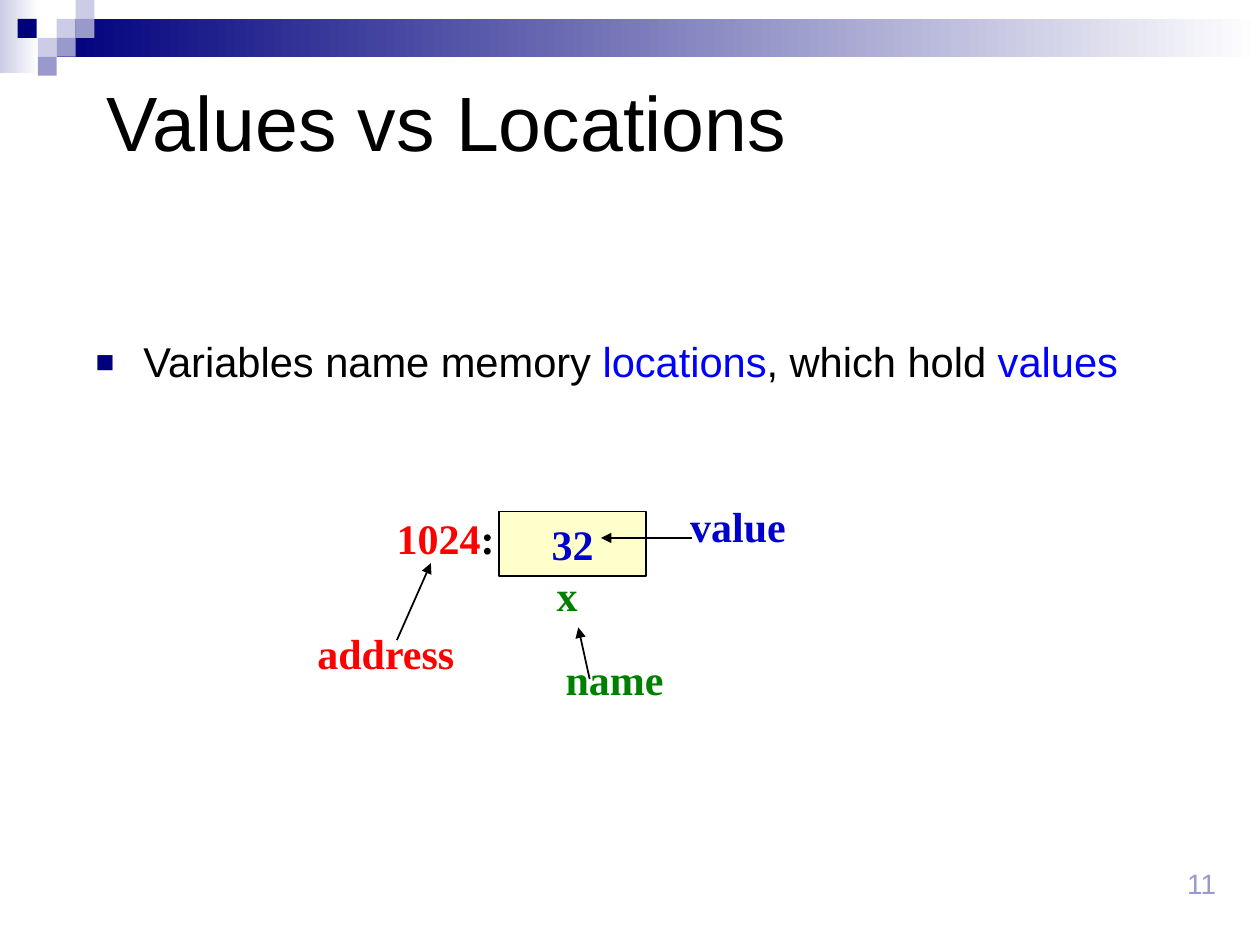
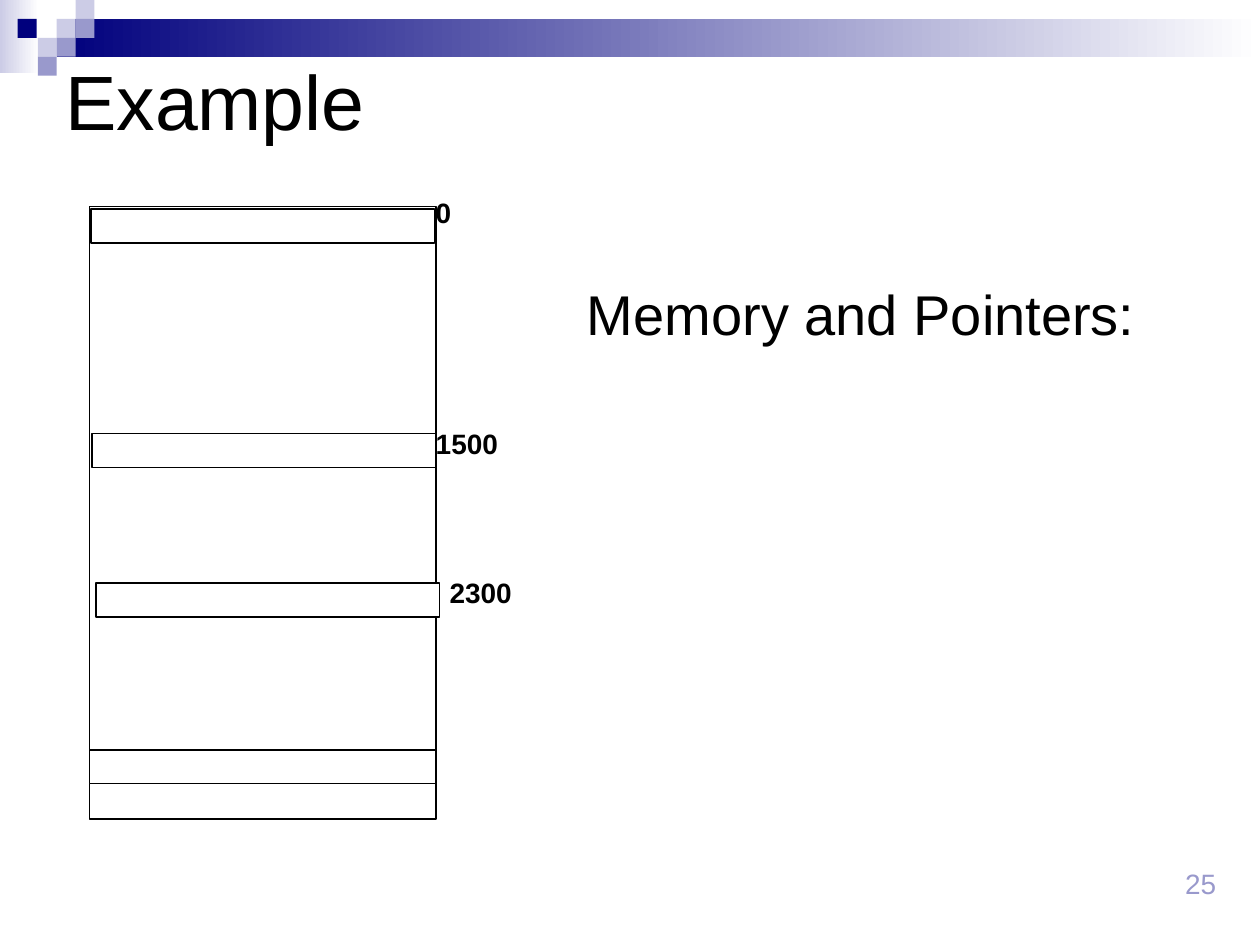
from dataclasses import dataclass
from typing import NamedTuple

from lxml import etree
from pptx import Presentation
from pptx import util as u
from pptx.dml import color as dml
from pptx.enum import shapes, text
from pptx.oxml import ns
from pptx.slide import Slide


@dataclass(frozen=True)
class Theme:
    navy: str = "00007D"
    periwinkle: str = "9999CC"
    lavender: str = "CCCCE6"
    white: str = "FFFFFF"
    black: str = "000000"
    cell: str = "FFFFCC"
    keyword: str = "0000FF"
    value: str = "0000CC"
    address: str = "FF0000"
    name: str = "008000"
    sans: str = "Arial"
    serif: str = "Times New Roman"
    title_size: float = 44
    heading_size: float = 32
    label_size: float = 24
    bullet_size: float = 23.8
    small_size: float = 16
    line_width: float = 1


THEME = Theme()


class Area(NamedTuple):
    left: float
    top: float
    width: float
    height: float


class Span(NamedTuple):
    words: str
    color: str = THEME.black


class Label(NamedTuple):
    area: Area
    spans: list[Span]


class Arrow(NamedTuple):
    start: tuple[float, float]
    end: tuple[float, float]


class Square(NamedTuple):
    left: float
    top: float
    color: str


SQUARE_SIDE = 0.15
SQUARES = [
    Square(0.45, 0.15, THEME.lavender),
    Square(0.6, 0, THEME.lavender),
    Square(0.6, 0.15, THEME.periwinkle),
    Square(0.3, 0.3, THEME.lavender),
    Square(0.14, 0.15, THEME.navy),
    Square(0.45, 0.3, THEME.periwinkle),
    Square(0.3, 0.45, THEME.periwinkle),
]
FADES = [
    (Area(0, 0, 0.31, 0.58), THEME.lavender),
    (Area(0.45, 0.15, 9.55, 0.3), THEME.navy),
]

VARIABLE_LABELS = [
    Label(Area(4.32, 4.47, 0.36, 0.5), [Span("x", THEME.name)]),
    Label(Area(3.05, 4.02, 0.98, 0.5), [Span("1024", THEME.address), Span(":")]),
    Label(Area(2.42, 4.93, 1.29, 0.5), [Span("address", THEME.address)]),
    Label(Area(4.39, 5.14, 0.98, 0.5), [Span("name", THEME.name)]),
    Label(Area(5.38, 3.92, 0.96, 0.5), [Span("value", THEME.value)]),
]
VARIABLE_ARROWS = [
    Arrow((3.15, 5.08), (3.42, 4.47)),
    Arrow((4.68, 5.39), (4.59, 4.98)),
    Arrow((5.49, 4.27), (4.77, 4.27)),
]

MEMORY = Area(0.71, 1.64, 2.75, 4.86)
CELL_HEIGHT = 0.27
MEMORY_CELLS = [
    Area(MEMORY.left, 5.95, MEMORY.width, CELL_HEIGHT),
    *(Area(left, top, 2.73, CELL_HEIGHT)
      for left, top in [(0.73, 3.44), (0.72, 1.66), (0.76, 4.63)]),
]
MEMORY_LABELS = [
    Label(Area(3.36, 1.5, 0.32, 0.37), [Span("0")]),
    Label(Area(3.36, 3.34, 0.69, 0.37), [Span("1500")]),
    Label(Area(3.47, 4.52, 0.69, 0.37), [Span("2300")]),
]


def rgb(code: str) -> dml.RGBColor:
    return dml.RGBColor.from_string(code)


def inches(area: Area) -> list[u.Length]:
    return [u.Inches(length) for length in area]


def write(frame, spans: list[Span], *, size: float, font: str = THEME.sans,
          bold: bool = False, align=text.PP_ALIGN.LEFT,
          anchor=text.MSO_ANCHOR.TOP, wrap: bool = True,
          space_before: float = 0, bullet: bool = False) -> None:
    frame.word_wrap = wrap
    frame.vertical_anchor = anchor
    para = frame.paragraphs[0]
    para.alignment = align
    para.space_before = u.Pt(space_before)
    if bullet:
        add_bullet(para)
    for span in spans:
        run = para.add_run()
        run.text = span.words
        run.font.name = font
        run.font.size = u.Pt(size)
        run.font.bold = bold
        run.font.color.rgb = rgb(span.color)


def add_bullet(para) -> None:
    properties = para._p.get_or_add_pPr()
    indent = u.Inches(0.38)
    properties.set("marL", str(indent))
    properties.set("indent", str(-indent))
    bullet_color = etree.SubElement(properties, ns.qn("a:buClr"))
    etree.SubElement(bullet_color, ns.qn("a:srgbClr"), val=THEME.navy)
    etree.SubElement(properties, ns.qn("a:buSzPct"), val="75000")
    etree.SubElement(properties, ns.qn("a:buFont"), typeface=THEME.sans)
    etree.SubElement(properties, ns.qn("a:buChar"), char="■")


def add_text(page: Slide, area: Area, spans: list[Span], **style) -> None:
    box = page.shapes.add_textbox(*inches(area))
    write(box.text_frame, spans, **style)


def add_rectangle(page: Slide, area: Area, color: str, *,
                  outlined: bool = False, fades: bool = False):
    box = page.shapes.add_shape(shapes.MSO_SHAPE.RECTANGLE, *inches(area))
    box.shadow.inherit = False
    if fades:
        box.fill.gradient()
        box.fill.gradient_angle = 0
        for stop, stop_color in zip(box.fill.gradient_stops, (color, THEME.white)):
            stop.color.rgb = rgb(stop_color)
    else:
        box.fill.solid()
        box.fill.fore_color.rgb = rgb(color)
    if outlined:
        box.line.color.rgb = rgb(THEME.black)
        box.line.width = u.Pt(THEME.line_width)
    else:
        box.line.fill.background()
    return box


def add_arrow(page: Slide, arrow: Arrow) -> None:
    ends = [u.Inches(length) for length in (*arrow.start, *arrow.end)]
    connector = page.shapes.add_connector(shapes.MSO_CONNECTOR.STRAIGHT, *ends)
    connector.line.color.rgb = rgb(THEME.black)
    connector.line.width = u.Pt(THEME.line_width)
    properties = connector._element.spPr
    etree.SubElement(properties.find(ns.qn("a:ln")), ns.qn("a:tailEnd"), type="triangle")
    etree.SubElement(properties, ns.qn("a:effectLst"))


def add_page(deck, title: str, title_area: Area, number: int) -> Slide:
    page = deck.slides.add_slide(deck.slide_layouts[6])
    for area, color in FADES:
        add_rectangle(page, area, color, fades=True)
    for square in SQUARES:
        area = Area(square.left, square.top, SQUARE_SIDE, SQUARE_SIDE)
        add_rectangle(page, area, square.color)
    add_text(page, Area(9.17, 6.83, 0.58, 0.5), [Span(str(number), THEME.periwinkle)],
             size=THEME.small_size, align=text.PP_ALIGN.RIGHT)
    add_text(page, title_area, [Span(title)], size=THEME.title_size,
             anchor=text.MSO_ANCHOR.MIDDLE)
    return page


def build_values_page(deck) -> None:
    page = add_page(deck, "Values vs Locations", Area(0.75, 0.33, 8.5, 1.25), 11)
    sentence = [
        Span("Variables name memory "),
        Span("locations", THEME.keyword),
        Span(", which hold "),
        Span("values", THEME.keyword),
    ]
    add_text(page, Area(0.66, 2.62, 8.55, 0.84), sentence,
             size=THEME.bullet_size, space_before=7, bullet=True)
    style = dict(size=THEME.label_size, font=THEME.serif, bold=True, wrap=False)
    cell = add_rectangle(page, Area(3.96, 4.06, 1.17, 0.51), THEME.cell, outlined=True)
    write(cell.text_frame, [Span("32", THEME.value)], align=text.PP_ALIGN.CENTER,
          anchor=text.MSO_ANCHOR.MIDDLE, **style)
    for label in VARIABLE_LABELS:
        add_text(page, label.area, label.spans, **style)
    for arrow in VARIABLE_ARROWS:
        add_arrow(page, arrow)


def build_example_page(deck) -> None:
    page = add_page(deck, "Example", Area(0.42, 0.25, 7.33, 1.08), 25)
    add_text(page, Area(4.56, 2.17, 4.94, 1.48), [Span("Memory and Pointers:")],
             size=THEME.heading_size, space_before=8)
    for area in [MEMORY, *MEMORY_CELLS]:
        add_rectangle(page, area, THEME.white, outlined=True)
    for label in MEMORY_LABELS:
        add_text(page, label.area, label.spans, size=THEME.small_size,
                 bold=True, wrap=False)


def main() -> None:
    deck = Presentation()
    deck.slide_width = u.Inches(10)
    deck.slide_height = u.Inches(7.5)
    build_values_page(deck)
    build_example_page(deck)
    deck.save("out.pptx")


if __name__ == "__main__":
    main()
